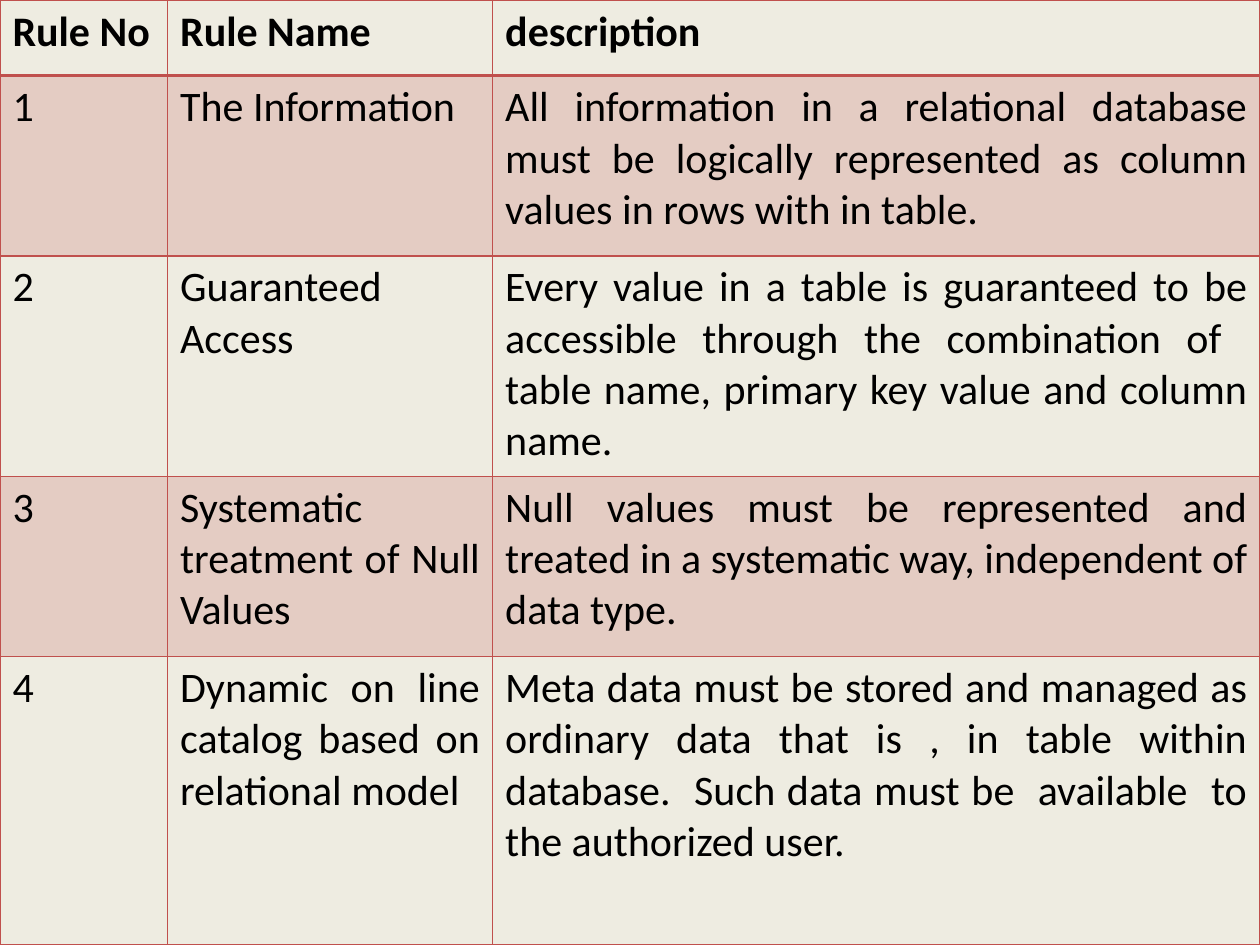
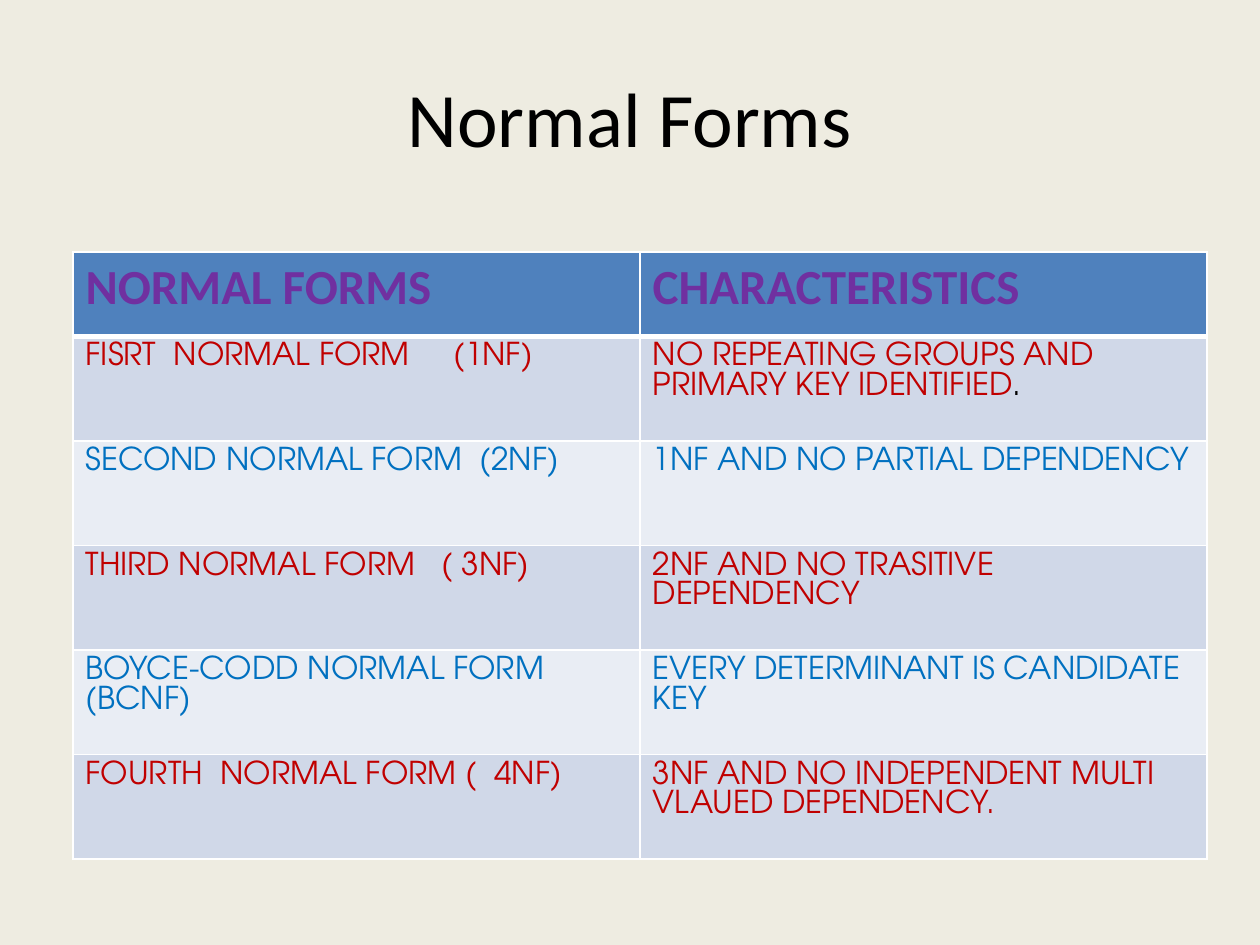
from lxml import etree
from pptx import Presentation
from pptx import util as u
from pptx.dml.color import RGBColor
from pptx.enum import text
from pptx.oxml.ns import qn

WIDTH, HEIGHT = 10, 7.5
LEFT, CENTER, JUSTIFY = text.PP_ALIGN.LEFT, text.PP_ALIGN.CENTER, text.PP_ALIGN.JUSTIFY

THEME = {
    "paper": "EEECE1", "ink": "000000",
    "title": ("Calibri", 44, "000000", False),
    "rules": {
        "head": ("Calibri", 24, "000000", True),
        "body": ("Calibri", 24, "000000", False),
        "inks": ("000000",), "align": JUSTIFY,
        "head_fill": None, "bands": (("C0504D", 20), None),
        "border": "C0504D", "head_rule": 2,
    },
    "forms": {
        "head": ("Calibri", 28, "7030A0", True),
        "body": ("TeX Gyre Adventor", 18, "C00000", False),
        "inks": ("C00000", "0070C0"), "align": LEFT,
        "head_fill": ("4F81BD", 100), "bands": (("D0D8E8", 100), ("E9EDF4", 100)),
        "border": "FFFFFF", "head_rule": 3,
    },
}

RULES = [
    ("Rule No", "Rule Name", "description"),
    ("1", "The Information",
     "All information in a relational database must be logically represented "
     "as column values in rows with in table."),
    ("2", "Guaranteed Access",
     "Every value in a table is guaranteed to be accessible through the "
     "combination of  table name, primary key value and column name."),
    ("3", "Systematic treatment of Null Values",
     "Null values must be represented and treated in a systematic way, "
     "independent of data type."),
    ("4", "Dynamic on line catalog based on relational model",
     "Meta data must be stored and managed as ordinary data that is , in table "
     "within database.  Such data must be  available  to the authorized user."),
]

# A tuple in a cell holds the text and an ending in plain ink.
FORMS = [
    ("NORMAL FORMS", "CHARACTERISTICS"),
    ("FISRT  NORMAL FORM     (1NF)",
     ("NO REPEATING GROUPS AND PRIMARY KEY IDENTIFIED", ".")),
    ("SECOND NORMAL FORM  (2NF)", "1NF AND NO PARTIAL DEPENDENCY"),
    ("THIRD NORMAL FORM   ( 3NF)", "2NF AND NO TRASITIVE DEPENDENCY"),
    ("BOYCE-CODD NORMAL FORM (BCNF)", "EVERY DETERMINANT IS CANDIDATE KEY"),
    ("FOURTH  NORMAL FORM (  4NF)",
     "3NF AND NO INDEPENDENT MULTI VLAUED DEPENDENCY."),
]


def add_page(deck):
    page = deck.slides.add_slide(deck.slide_layouts[6])
    page.background.fill.solid()
    page.background.fill.fore_color.rgb = RGBColor.from_string(THEME["paper"])
    return page


def add_span(para, words, style, ink=None):
    font, size, color, bold = style
    span = para.add_run()
    span.text = words
    span.font.name, span.font.size, span.font.bold = font, u.Pt(size), bold
    span.font.color.rgb = RGBColor.from_string(ink or color)


def add_title(page, words):
    margin = WIDTH * 0.05
    box = page.shapes.add_textbox(u.Inches(margin), u.Inches(HEIGHT * 0.04),
                                  u.Inches(WIDTH - 2 * margin), u.Inches(HEIGHT / 6))
    frame = box.text_frame
    frame.word_wrap = True
    frame.vertical_anchor = text.MSO_ANCHOR.MIDDLE
    frame.paragraphs[0].alignment = CENTER
    add_span(frame.paragraphs[0], words, THEME["title"])


def fill_cell(cell, paint):
    """Apply a (colour, opacity percent) pair, or no fill for None."""
    if paint is None:
        cell.fill.background()
        return
    color, opacity = paint
    cell.fill.solid()
    cell.fill.fore_color.rgb = RGBColor.from_string(color)
    if opacity < 100:
        for tint in cell._tc.tcPr.iter(qn("a:srgbClr")):
            etree.SubElement(tint, qn("a:alpha")).set("val", str(opacity * 1000))


def border_cell(cell, color, widths):
    """Draw the left, right, top and bottom edges, ahead of the fill."""
    for place, (side, width) in enumerate(zip("LRTB", widths)):
        line = etree.Element(qn(f"a:ln{side}"), w=str(u.Pt(width)))
        solid = etree.SubElement(line, qn("a:solidFill"))
        etree.SubElement(solid, qn("a:srgbClr")).set("val", color)
        cell._tc.tcPr.insert(place, line)


def add_grid(page, rows, look, left, top, columns, heights):
    frame = page.shapes.add_table(len(rows), len(columns), u.Inches(left), u.Inches(top),
                                  u.Inches(sum(columns)), u.Inches(sum(heights)))
    table = frame.table
    table.first_row = table.horz_banding = False
    for column, width in zip(table.columns, columns):
        column.width = u.Inches(width)
    for r, (row, height) in enumerate(zip(rows, heights)):
        table.rows[r].height = u.Inches(height)
        is_head = r == 0
        style = look["head"] if is_head else look["body"]
        ink = None if is_head else look["inks"][(r - 1) % len(look["inks"])]
        paint = look["head_fill"] if is_head else look["bands"][(r - 1) % 2]
        above = look["head_rule"] if r == 1 else 1
        below = look["head_rule"] if is_head else 1
        for c, content in enumerate(row):
            cell = table.cell(r, c)
            para = cell.text_frame.paragraphs[0]
            para.alignment = look["align"]
            words, *ending = (content,) if isinstance(content, str) else content
            add_span(para, words, style, ink)
            for tail in ending:
                add_span(para, tail, style, THEME["ink"])
            fill_cell(cell, paint)
            border_cell(cell, look["border"], (1, 1, above, below))


def main():
    deck = Presentation()
    deck.slide_width, deck.slide_height = u.Inches(WIDTH), u.Inches(HEIGHT)

    add_grid(add_page(deck), RULES, THEME["rules"], 0, 0,
             columns=(1.33, 2.58, 6.09), heights=(0.6, 1.43, 1.75, 1.43, 2.29))

    page = add_page(deck)
    add_title(page, "Normal Forms")
    add_grid(page, FORMS, THEME["forms"], 0.58, 2,
             columns=[WIDTH * 0.45] * 2, heights=[0.67] + [0.83] * (len(FORMS) - 1))

    deck.save("out.pptx")


if __name__ == "__main__":
    main()
